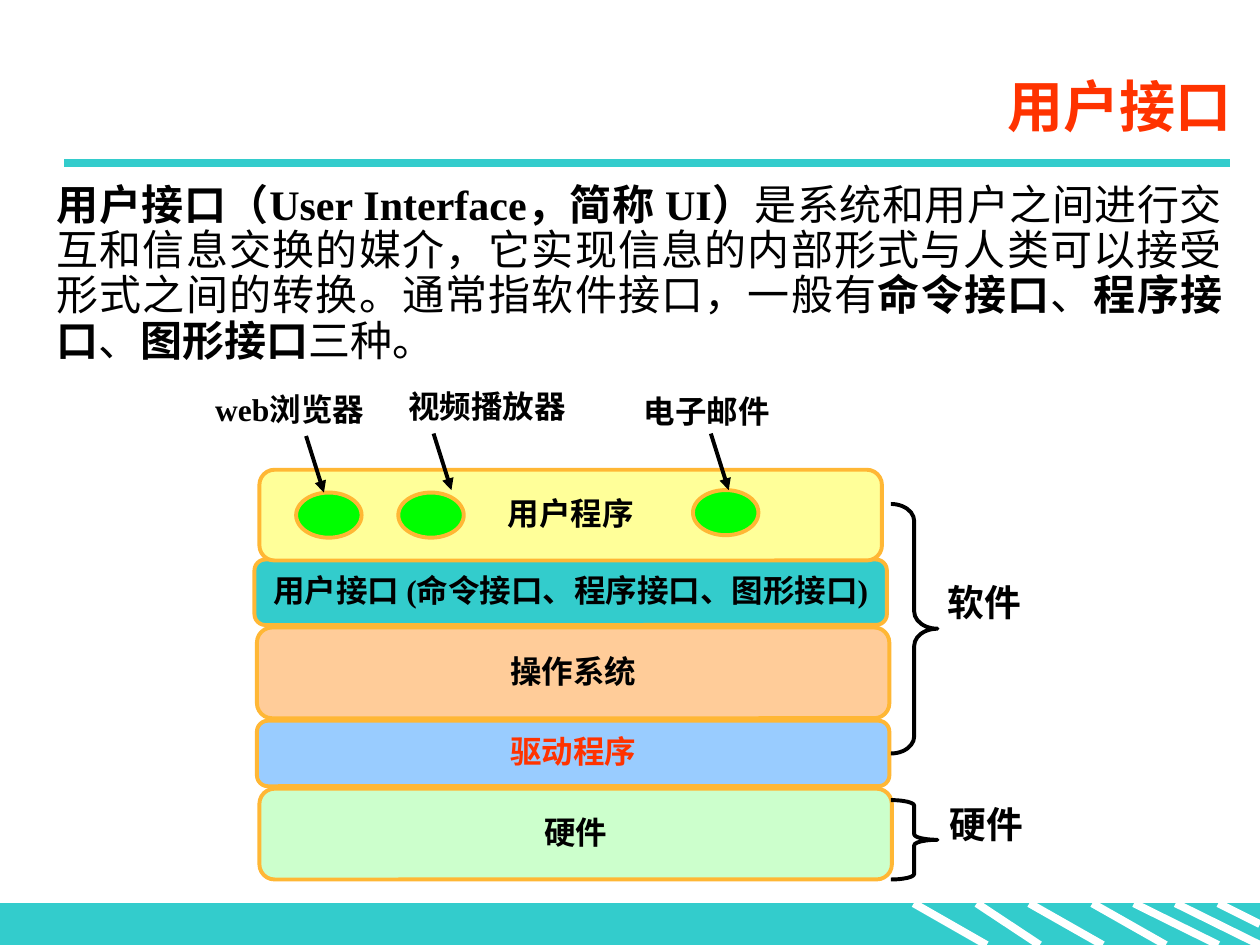
import dataclasses

import pptx
import pptx.dml.color
import pptx.enum.shapes
import pptx.enum.text
import pptx.oxml
import pptx.oxml.ns
import pptx.util
from pptx.util import Cm

SHAPES = pptx.enum.shapes.MSO_SHAPE
ALIGN = pptx.enum.text.PP_ALIGN
ANCHOR = pptx.enum.text.MSO_ANCHOR


@dataclasses.dataclass(frozen=True)
class Theme:
    font: str = "Times New Roman"
    black: str = "000000"
    white: str = "FFFFFF"
    red: str = "FF3300"
    teal: str = "33CCCC"
    gold: str = "FFB735"
    green: str = "00FF00"
    yellow: str = "FFFF99"
    peach: str = "FFCC99"
    blue: str = "99CCFF"
    mint: str = "CCFFCC"
    title: int = 32
    body: int = 24
    side: int = 21
    label: int = 18
    thick: float = 4.5
    outline: float = 2.25


THEME = Theme()

# text, left, top, width, height, fill, text colour; bottom layer first
LAYERS = [
    ("硬件", 5.23, 15.9, 12.75, 1.83, THEME.mint, THEME.black),
    ("驱动程序", 5.18, 14.53, 12.75, 1.32, THEME.blue, THEME.red),
    ("操作系统", 5.18, 12.65, 12.75, 1.83, THEME.peach, THEME.black),
    ("用户接口 (命令接口、程序接口、图形接口)", 5.13, 11.28, 12.75, 1.32, THEME.teal, THEME.black),
    ("用户程序", 5.23, 9.47, 12.55, 1.83, THEME.yellow, THEME.black),
]
# name, label position, arrow start, ellipse position
PROGRAMS = [
    ("web浏览器", (4.09, 7.82), (6.17, 8.79), (5.97, 9.93)),
    ("视频播放器", (7.98, 7.77), (8.74, 8.74), (8.03, 9.93)),
    ("电子邮件", (12.73, 7.87), (14.33, 8.74), (13.97, 9.88)),
]
# name, brace top, brace height, brace curve, label position
BRACES = [
    ("软件", 10.16, 5.03, 0.367, (18.85, 11.66)),
    ("硬件", 16.13, 1.6, 0.117, (18.9, 16.13)),
]
DEFINITION = [
    ("用户接口（User Interface，简称 UI）", True),
    ("是系统和用户之间进行交互和信息交换的媒介，它实现信息的内部形式与人类可以接受形式之间的转换。"
     "通常指软件接口，一般有", False),
    ("命令接口", True), ("、", False), ("程序接口", True), ("、", False),
    ("图形接口", True), ("三种。", False),
]
BAR_TOP, BAR_HEIGHT = 18.21, 0.84
STRIPES = [(18.42, 19.89), (19.69, 20.96), (20.75, 22.23),
           (22.02, 23.5), (22.86, 24.56), (23.7, 25.4)]


def rgb(value):
    return pptx.dml.color.RGBColor.from_string(value)


def format_span(span, size, color=THEME.black, bold=True):
    span.font.name = THEME.font
    span.font.size = pptx.util.Pt(size)
    span.font.bold = bold
    span.font.color.rgb = rgb(color)


def add_line(page, start, end, color, width, arrow=False):
    line = page.shapes.add_connector(
        pptx.enum.shapes.MSO_CONNECTOR.STRAIGHT, *map(Cm, start + end))
    line.line.color.rgb = rgb(color)
    line.line.width = pptx.util.Pt(width)
    if arrow:
        head = pptx.oxml.parse_xml(
            f'<a:tailEnd {pptx.oxml.ns.nsdecls("a")} type="triangle"/>')
        line.line._get_or_add_ln().append(head)
    line._element.spPr.append(
        pptx.oxml.parse_xml(f'<a:effectLst {pptx.oxml.ns.nsdecls("a")}/>'))


def add_shape(page, kind, place, fill, outline, width=THEME.outline):
    shape = page.shapes.add_shape(kind, *map(Cm, place))
    shape.shadow.inherit = False
    if fill:
        shape.fill.solid()
        shape.fill.fore_color.rgb = rgb(fill)
    else:
        shape.fill.background()
    shape.line.color.rgb = rgb(outline)
    shape.line.width = pptx.util.Pt(width)
    return shape


def add_layer(page, text, left, top, width, height, fill, color):
    shape = add_shape(page, SHAPES.ROUNDED_RECTANGLE,
                      (left, top, width, height), fill, THEME.gold)
    frame = shape.text_frame
    frame.text = text
    frame.word_wrap = False
    frame.vertical_anchor = ANCHOR.MIDDLE
    frame.margin_left = frame.margin_right = Cm(0.18)
    frame.margin_top = frame.margin_bottom = Cm(0.1)
    para = frame.paragraphs[0]
    para.alignment = ALIGN.CENTER
    para.line_spacing = 0.9
    format_span(para.runs[0], THEME.label, color)


def add_text(page, pieces, place, size):
    """Add a one-paragraph box from (text, bold) pieces and return the paragraph."""
    box = page.shapes.add_textbox(*map(Cm, place))
    box.text_frame.word_wrap = True
    para = box.text_frame.paragraphs[0]
    para.line_spacing = 0.9
    for text, bold in pieces:
        span = para.add_run()
        span.text = text
        format_span(span, size, bold=bold)
    return para


def add_program(page, name, label, start, ellipse):
    add_shape(page, SHAPES.OVAL, ellipse + (1.32, 0.91), THEME.green, THEME.gold)
    add_text(page, [(name, True)], label + (3.94, 0.94), THEME.label)
    end = (start[0] + 0.36, start[1] + 1.14)
    add_line(page, start, end, THEME.black, THEME.outline, arrow=True)


def add_brace(page, name, top, height, curve, label):
    brace = add_shape(page, SHAPES.RIGHT_BRACE, (17.96, top, 0.94, height),
                      None, THEME.black)
    brace.adjustments[0] = curve
    add_text(page, [(name, True)], label + (3.25, 1.07), THEME.side)


def add_decoration(page):
    add_shape(page, SHAPES.RECTANGLE, (0, BAR_TOP, 25.4, BAR_HEIGHT),
              THEME.teal, THEME.teal, 0.75)
    bottom = BAR_TOP + BAR_HEIGHT
    for left, right in STRIPES:
        add_line(page, (left, BAR_TOP), (right, bottom), THEME.white, THEME.thick)
    add_line(page, (24.56, BAR_TOP), (25.4, BAR_TOP + BAR_HEIGHT / 2),
             THEME.white, THEME.thick)
    add_line(page, (1.3, 3.28), (24.79, 3.28), THEME.teal, THEME.thick)


def set_title(page, text):
    title = page.shapes.title
    title.left, title.top, title.width, title.height = map(Cm, (3.5, 1.12, 21.59, 2.01))
    title.text_frame.text = text
    title.text_frame.vertical_anchor = ANCHOR.MIDDLE
    para = title.text_frame.paragraphs[0]
    para.alignment = ALIGN.RIGHT
    format_span(para.runs[0], THEME.title, THEME.red)


def main():
    deck = pptx.Presentation()
    deck.slide_width, deck.slide_height = Cm(25.4), Cm(19.05)
    page = deck.slides.add_slide(deck.slide_layouts.get_by_name("Title Only"))
    add_decoration(page)
    for layer in LAYERS:
        add_layer(page, *layer)
    for program in PROGRAMS:
        add_program(page, *program)
    for brace in BRACES:
        add_brace(page, *brace)
    set_title(page, "用户接口")
    definition = add_text(page, DEFINITION, (0.89, 3.58, 24, 3.96), THEME.body)
    definition.alignment = ALIGN.JUSTIFY
    definition.space_before = pptx.util.Pt(4.8)
    deck.save("out.pptx")


if __name__ == "__main__":
    main()
